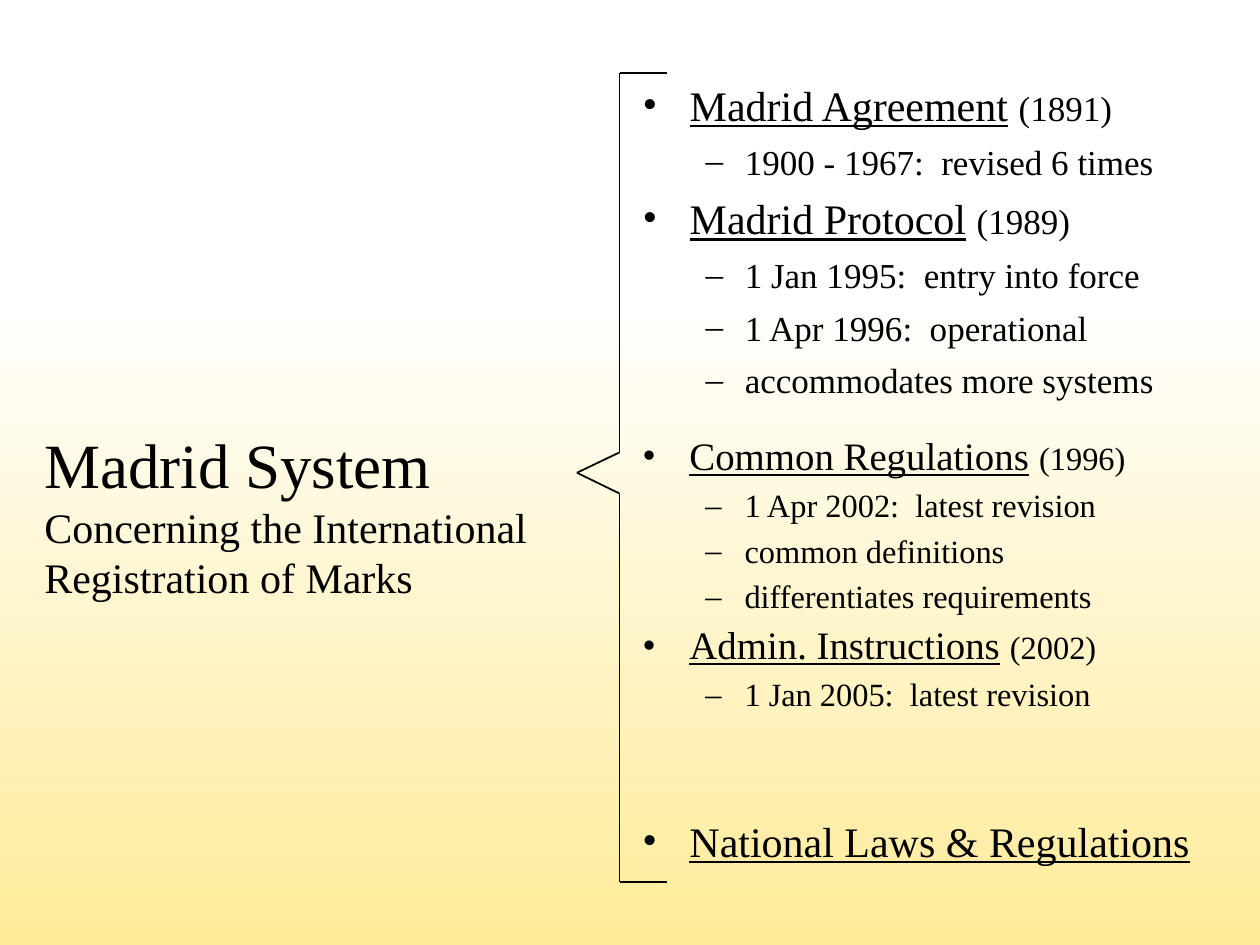
from lxml import etree
from pptx import Presentation
from pptx.dml.color import RGBColor
from pptx.enum.shapes import MSO_CONNECTOR, MSO_SHAPE
from pptx.enum.text import MSO_ANCHOR, MSO_AUTO_SIZE, PP_ALIGN
from pptx.oxml.ns import qn
from pptx.util import Cm, Pt

LINE = MSO_CONNECTOR.STRAIGHT
RECTANGLE = MSO_SHAPE.RECTANGLE
TOP = MSO_ANCHOR.TOP
NO_AUTOFIT = MSO_AUTO_SIZE.NONE
LEFT = PP_ALIGN.LEFT

FONT = "Times New Roman"
INK, PAPER, YELLOW = "000000", "FFFFFF", "FFEB99"
TWO_CONTENT = 3

SYSTEM = [("Madrid System", 36),
          ("Concerning the International Registration of Marks", 24)]

# (heading, year, details)
TREATIES = [
    ("Madrid Agreement", "(1891)", ["1900 - 1967:  revised 6 times"]),
    ("Madrid Protocol", "(1989)", ["1 Jan 1995:  entry into force",
                                   "1 Apr 1996:  operational",
                                   "accommodates more systems"]),
]
REGULATIONS = [
    ("Common Regulations", "(1996)", ["1 Apr 2002:  latest revision",
                                      "common definitions",
                                      "differentiates requirements"]),
    ("Admin. Instructions", "(2002)", ["1 Jan 2005:  latest revision"]),
]
NATIONAL_LAWS = [("National Laws & Regulations", "", [])]

# Left, top, width, height in centimetres
SYSTEM_BOX = (0.64, 8.46, 11.23, 4.01)
TREATIES_BOX = (12.7, 1.47, 12.27, 7.62)
REGULATIONS_BOX = (12.7, 8.69, 12.07, 6.35)
LAWS_BOX = (12.7, 16.31, 12.5, 1.7)
WASH_BOX = (0, 5.92, 25.4, 13.13)

# Bracket outline from its top end to its bottom end, in centimetres
BRACKET = [(13.44, 1.47), (12.49, 1.47), (12.49, 9.12), (11.63, 9.53),
           (12.49, 9.95), (12.49, 17.78), (13.44, 17.78)]

# Bullet, left margin and hanging indent in centimetres, by level
LEVELS = [("•", 0.95, 0.95), ("–", 2.06, 0.79)]


def colour(hex_value):
    return RGBColor.from_string(hex_value)


def box_cm(box):
    return [Cm(length) for length in box]


def place(shape, box):
    shape.left, shape.top, shape.width, shape.height = box_cm(box)
    frame = shape.text_frame
    frame.word_wrap = True
    frame.auto_size = NO_AUTOFIT
    frame.vertical_anchor = TOP
    return frame


def set_bullet(paragraph, char, margin, hanging):
    properties = paragraph._p.get_or_add_pPr()
    properties.set("marL", str(Cm(margin)))
    properties.set("indent", str(-Cm(hanging)))
    if char:
        etree.SubElement(properties, qn("a:buFont"), typeface=FONT)
        etree.SubElement(properties, qn("a:buChar"), char=char)
    else:
        etree.SubElement(properties, qn("a:buNone"))


def set_font(paragraph, size=None):
    paragraph.alignment = LEFT
    paragraph.font.name = FONT
    paragraph.font.color.rgb = colour(INK)
    if size:
        paragraph.font.size = Pt(size)


def add_run(paragraph, text, size=None, underline=None):
    run = paragraph.add_run()
    run.text = text
    run.font.underline = underline
    if size:
        run.font.size = Pt(size)


def fill_outline(frame, entries, heading_size, detail_size, spacing=1.0):
    """Write headings with their years, each followed by its details."""
    lines = []
    for heading, year, details in entries:
        lines.append((0, heading, year))
        lines += [(1, detail, "") for detail in details]

    for index, (level, text, year) in enumerate(lines):
        paragraph = frame.add_paragraph() if index else frame.paragraphs[0]
        paragraph.level = level
        set_bullet(paragraph, *LEVELS[level])
        paragraph.line_spacing = spacing
        paragraph.space_before = Pt(6 if index else 0)
        set_font(paragraph, detail_size if level else heading_size)
        add_run(paragraph, text, underline=True if level == 0 else None)
        if year:
            add_run(paragraph, " ")
            add_run(paragraph, year, detail_size)


def add_wash(slide):
    wash = slide.shapes.add_shape(RECTANGLE, *box_cm(WASH_BOX))
    wash.shadow.inherit = False
    wash.line.fill.background()
    wash.fill.gradient()
    wash.fill.gradient_angle = 270
    for stop, position, shade in zip(wash.fill.gradient_stops, (0, 1), (PAPER, YELLOW)):
        stop.position = position
        stop.color.rgb = colour(shade)
    slide.shapes._spTree.insert(2, wash._element)  # behind everything else


def add_bracket(slide):
    for start, end in zip(BRACKET, BRACKET[1:]):
        side = slide.shapes.add_connector(LINE, *box_cm(start + end))
        side.line.color.rgb = colour(INK)
        side.line.width = Pt(1)
        etree.SubElement(side._element.spPr, qn("a:effectLst"))


def main():
    deck = Presentation()
    deck.slide_width, deck.slide_height = Cm(25.4), Cm(19.05)
    slide = deck.slides.add_slide(deck.slide_layouts[TWO_CONTENT])
    title, system, treaties = list(slide.placeholders)[:3]
    title._element.getparent().remove(title._element)

    add_wash(slide)

    name = place(system, SYSTEM_BOX).paragraphs[0]
    set_bullet(name, None, 0, 0)
    name.space_before = Pt(0)
    set_font(name)
    for index, (text, size) in enumerate(SYSTEM):
        if index:
            name.add_line_break()
        add_run(name, text, size)

    fill_outline(place(treaties, TREATIES_BOX), TREATIES, 24, 20)
    add_bracket(slide)
    for box, entries, sizes in [(REGULATIONS_BOX, REGULATIONS, (22.2, 18.5, 0.9)),
                                (LAWS_BOX, NATIONAL_LAWS, (24, 20))]:
        textbox = slide.shapes.add_textbox(*box_cm(box))
        fill_outline(place(textbox, box), entries, *sizes)

    deck.save("out.pptx")


if __name__ == "__main__":
    main()
